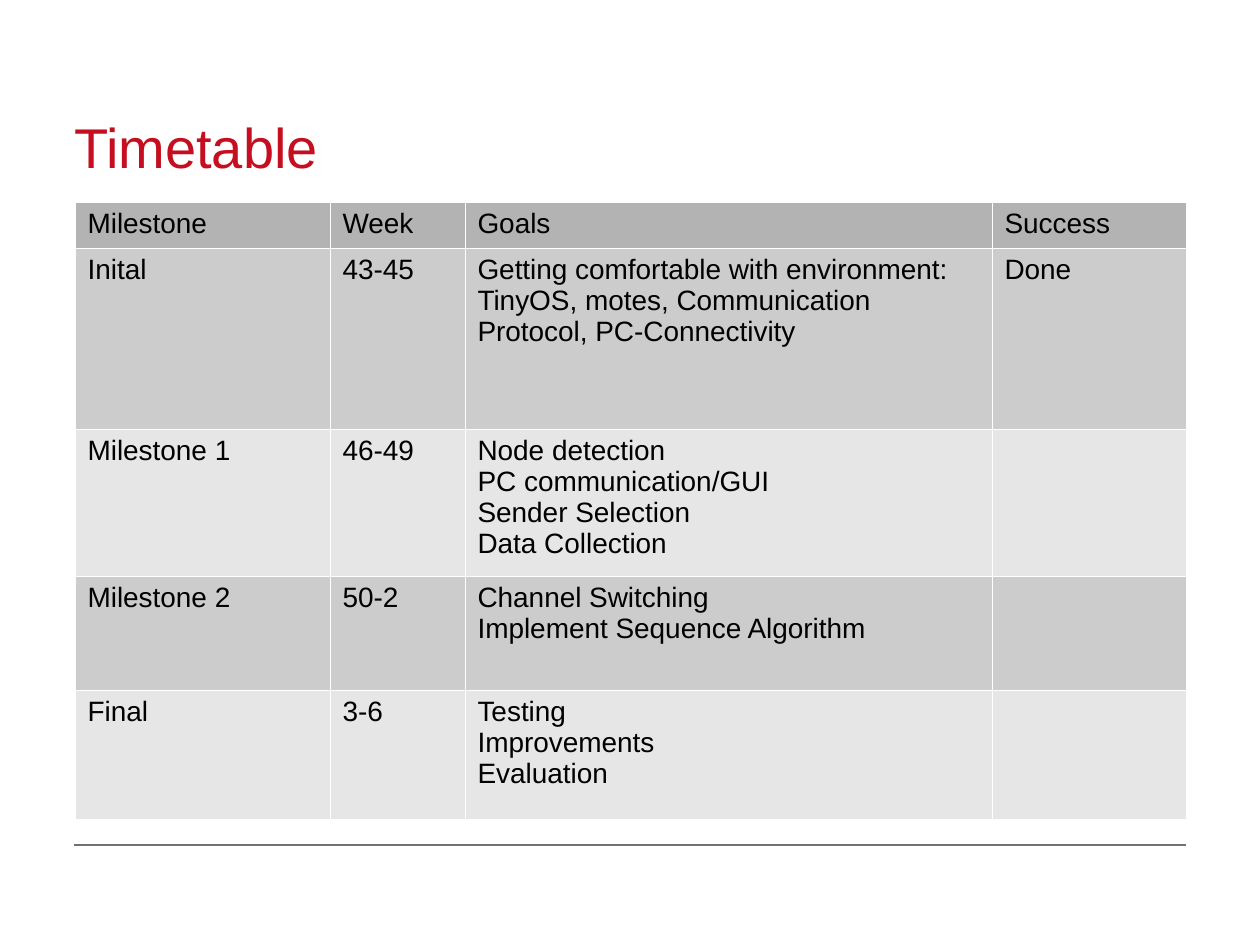
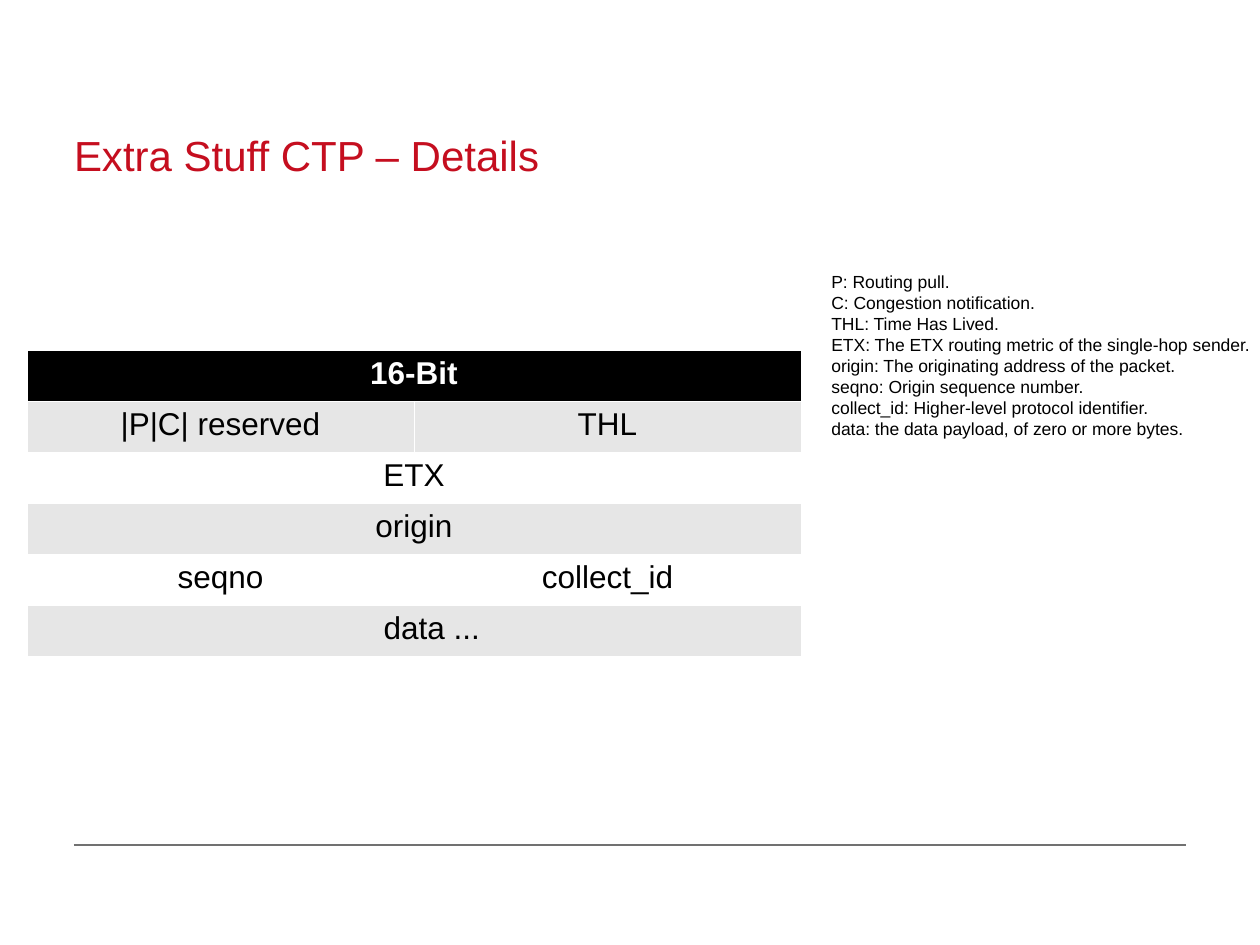
import lxml.etree
import pptx
import pptx.dml.color
import pptx.enum.shapes
import pptx.enum.text
import pptx.oxml.ns
import pptx.util

RGBColor = pptx.dml.color.RGBColor
RED = RGBColor(0xC5, 0x0E, 0x1F)
RULE_GRAY = RGBColor(0x71, 0x71, 0x71)
BLACK = RGBColor(0, 0, 0)
WHITE = RGBColor(0xFF, 0xFF, 0xFF)
HEADER_GRAY = RGBColor(0xB3, 0xB3, 0xB3)
MID_GRAY = RGBColor(0xCC, 0xCC, 0xCC)
LIGHT_GRAY = RGBColor(0xE6, 0xE6, 0xE6)
FONT = "Arial"

LEFT = pptx.enum.text.PP_ALIGN.LEFT
CENTER = pptx.enum.text.PP_ALIGN.CENTER
PX_PER_INCH = 126
SLIDE_WIDTH, SLIDE_HEIGHT = 1260, 945
TITLE_BOX = (74, 101, 1111, 79)
RULE = (74, 845, 1186, 845)
BORDER_WIDTH = pptx.util.Pt(0.06)

TIMETABLE = [
    ("Milestone", "Week", "Goals", "Success"),
    ("Inital", "43-45",
     "Getting comfortable with environment: TinyOS, motes, Communication Protocol, PC-Connectivity",
     "Done"),
    ("Milestone 1", "46-49",
     "Node detection\nPC communication/GUI\nSender Selection\nData Collection", ""),
    ("Milestone 2", "50-2", "Channel Switching\nImplement Sequence Algorithm", ""),
    ("Final", "3-6", "Testing\nImprovements\nEvaluation", ""),
]
TIMETABLE_ORIGIN = (75, 202)
TIMETABLE_COLUMNS = [255, 135, 527, 194]
TIMETABLE_ROWS = [46, 181, 147, 114, 129]

PACKET_FIELDS = [
    ("16-Bit",),
    ("|P|C| reserved", "THL"),
    ("ETX",),
    ("origin",),
    ("seqno", "collect_id"),
    ("data ...",),
]
PACKET_ORIGIN = (27, 350)
PACKET_COLUMNS = [387, 387]
PACKET_ROWS = [51] * len(PACKET_FIELDS)
DATA_INDENT = 48

FIELD_NOTES = [
    "P: Routing pull.",
    "C: Congestion notification.",
    "THL: Time Has Lived.",
    "ETX: The ETX routing metric of the single-hop sender.",
    "origin: The originating address of the packet.",
    "seqno: Origin sequence number.",
    "collect_id: Higher-level protocol identifier.",
    "data: the data payload, of zero or more bytes.",
]
NOTES_BOX = (819, 265, 441, 519)


def px(length):
    return pptx.util.Emu(round(length * 914400 / PX_PER_INCH))


def write_lines(text_frame, lines, size, color, alignment=LEFT, bold=False):
    for index, line in enumerate(lines):
        paragraph = text_frame.add_paragraph() if index else text_frame.paragraphs[0]
        paragraph.alignment = alignment
        run = paragraph.add_run()
        run.text = line
        run.font.name = FONT
        run.font.size = pptx.util.Pt(size)
        run.font.bold = bold
        run.font.color.rgb = color


def add_titled_slide(presentation, title, size):
    slide = presentation.slides.add_slide(presentation.slide_layouts[5])
    rule = slide.shapes.add_connector(
        pptx.enum.shapes.MSO_CONNECTOR.STRAIGHT, *map(px, RULE))
    rule.line.color.rgb = RULE_GRAY
    rule.line.width = pptx.util.Pt(0.75)
    lxml.etree.SubElement(rule._element.spPr, pptx.oxml.ns.qn("a:effectLst"))

    shape = slide.shapes.title
    shape.left, shape.top, shape.width, shape.height = map(px, TITLE_BOX)
    text_frame = shape.text_frame
    text_frame.margin_left = text_frame.margin_right = 0
    text_frame.margin_top = text_frame.margin_bottom = 0
    text_frame.vertical_anchor = pptx.enum.text.MSO_ANCHOR.BOTTOM
    text_frame.auto_size = pptx.enum.text.MSO_AUTO_SIZE.NONE
    write_lines(text_frame, [title], size, RED)
    text_frame.paragraphs[0].line_spacing = pptx.util.Pt(30)
    return slide


def style_cell(cell, fill):
    properties = cell._tc.get_or_add_tcPr()
    for side in ("a:lnL", "a:lnR", "a:lnT", "a:lnB"):
        line = lxml.etree.SubElement(
            properties, pptx.oxml.ns.qn(side), w=str(BORDER_WIDTH))
        solid = lxml.etree.SubElement(line, pptx.oxml.ns.qn("a:solidFill"))
        lxml.etree.SubElement(solid, pptx.oxml.ns.qn("a:srgbClr"), val=str(WHITE))
    cell.fill.solid()
    cell.fill.fore_color.rgb = fill


def add_grid(slide, origin, columns, rows, fills):
    frame = slide.shapes.add_table(
        len(rows), len(columns), *map(px, (*origin, sum(columns), sum(rows))))
    table = frame.table
    table.first_row = table.horz_banding = False
    for column, width in zip(table.columns, columns):
        column.width = px(width)
    for row, height, fill in zip(table.rows, rows, fills):
        row.height = px(height)
        for cell in row.cells:
            style_cell(cell, fill)
    return table


def build_timetable(presentation):
    slide = add_titled_slide(presentation, "Timetable", 32)
    fills = [HEADER_GRAY] + [MID_GRAY, LIGHT_GRAY] * 2
    table = add_grid(slide, TIMETABLE_ORIGIN, TIMETABLE_COLUMNS, TIMETABLE_ROWS, fills)
    for row, texts in zip(table.rows, TIMETABLE):
        for cell, text in zip(row.cells, texts):
            if text:
                write_lines(cell.text_frame, text.split("\n"), 16, BLACK)


def build_packet_details(presentation):
    slide = add_titled_slide(presentation, "Extra Stuff CTP – Details", 24)
    fills = [BLACK] + [LIGHT_GRAY, WHITE] * 2 + [LIGHT_GRAY]
    table = add_grid(slide, PACKET_ORIGIN, PACKET_COLUMNS, PACKET_ROWS, fills)
    for row, fields in enumerate(PACKET_FIELDS):
        if len(fields) == 1:
            table.cell(row, 0).merge(table.cell(row, 1))
        for column, field in enumerate(fields):
            write_lines(table.cell(row, column).text_frame, [field], 18,
                        BLACK if row else WHITE, CENTER, bold=row == 0)
    table.cell(len(PACKET_FIELDS) - 1, 0).margin_left = px(DATA_INDENT)

    notes = slide.shapes.add_textbox(*map(px, NOTES_BOX)).text_frame
    notes.word_wrap = True
    notes.margin_right = 0
    write_lines(notes, FIELD_NOTES, 10, BLACK)


def main():
    presentation = pptx.Presentation()
    presentation.slide_width = px(SLIDE_WIDTH)
    presentation.slide_height = px(SLIDE_HEIGHT)
    build_timetable(presentation)
    build_packet_details(presentation)
    presentation.save("out.pptx")


if __name__ == "__main__":
    main()
